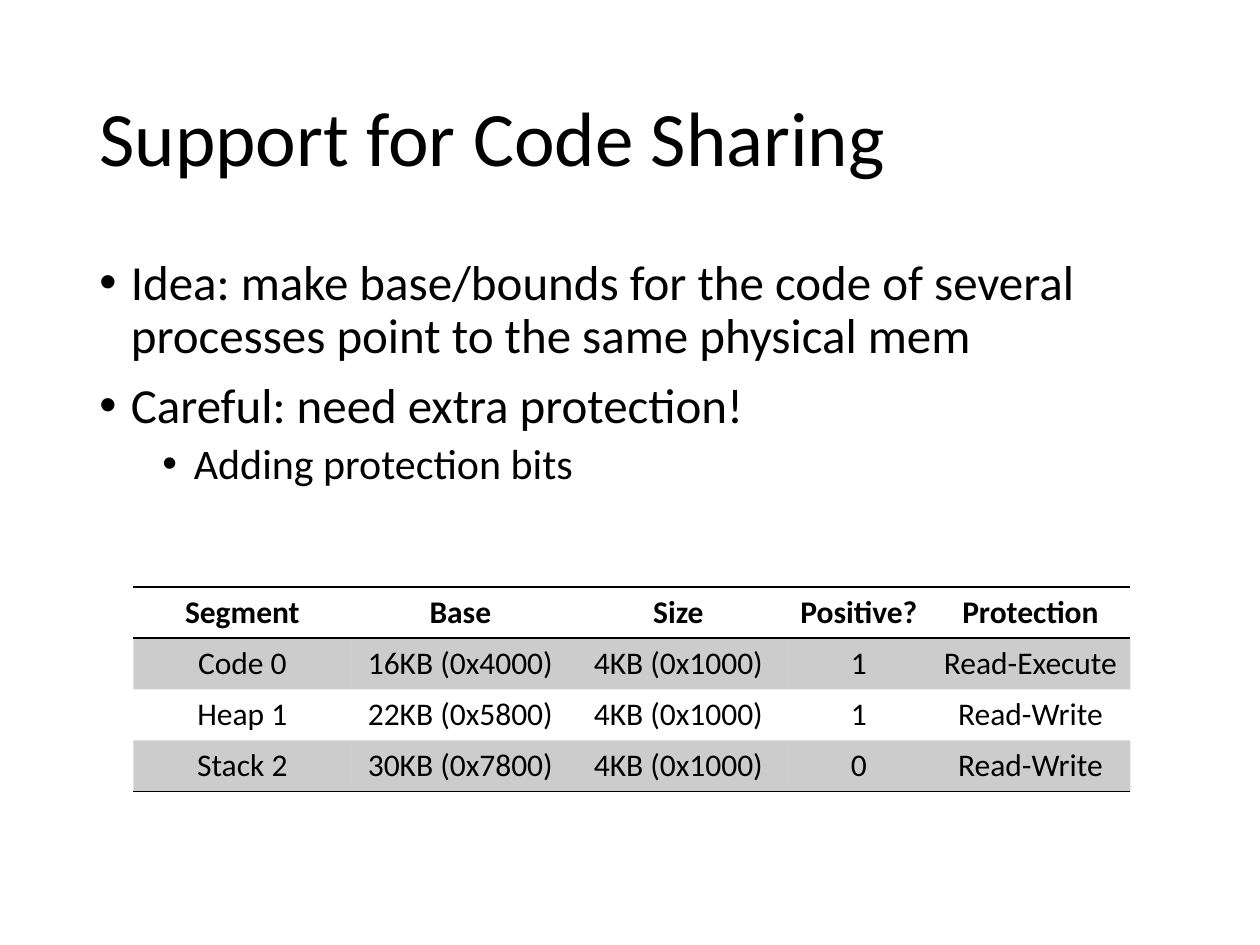
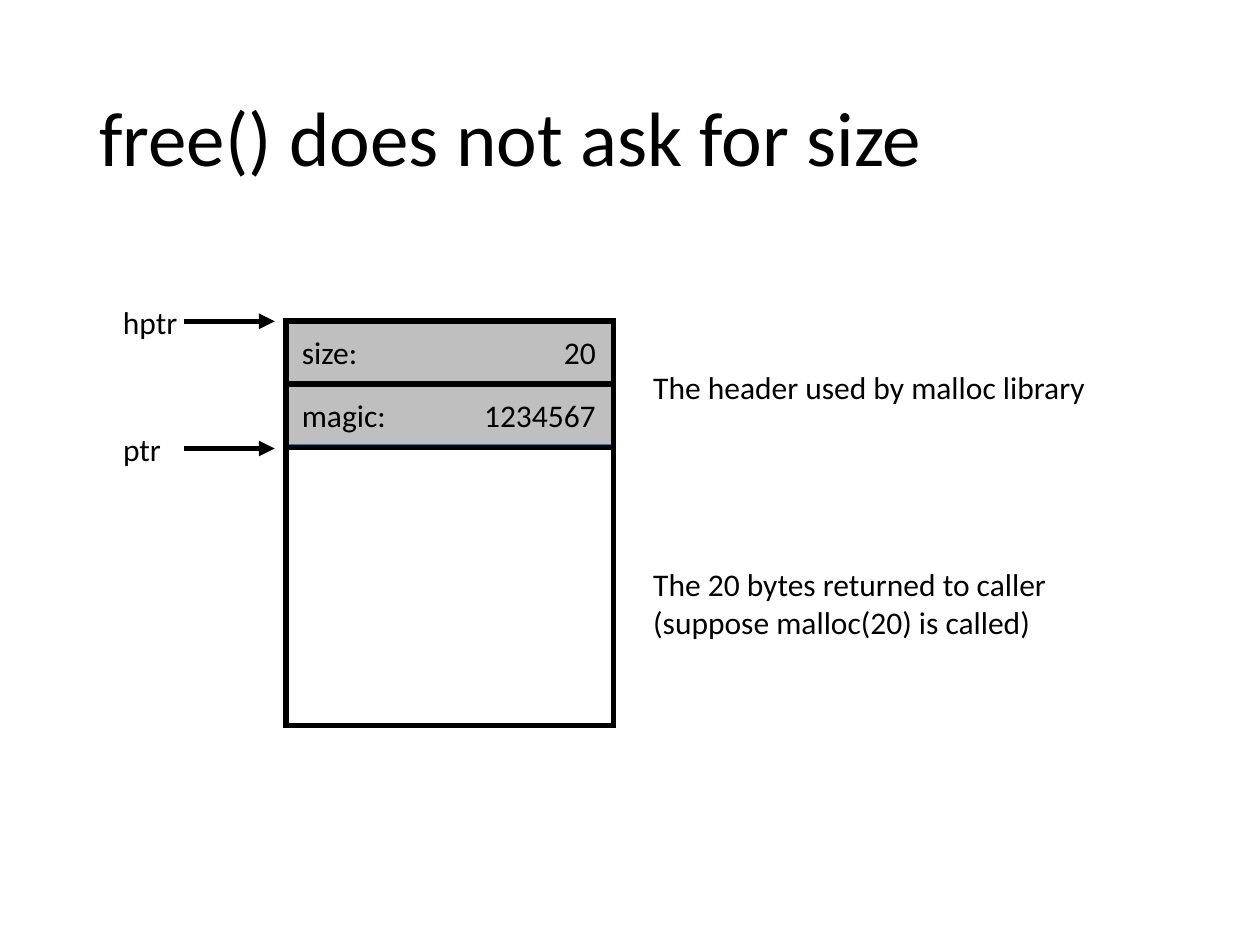
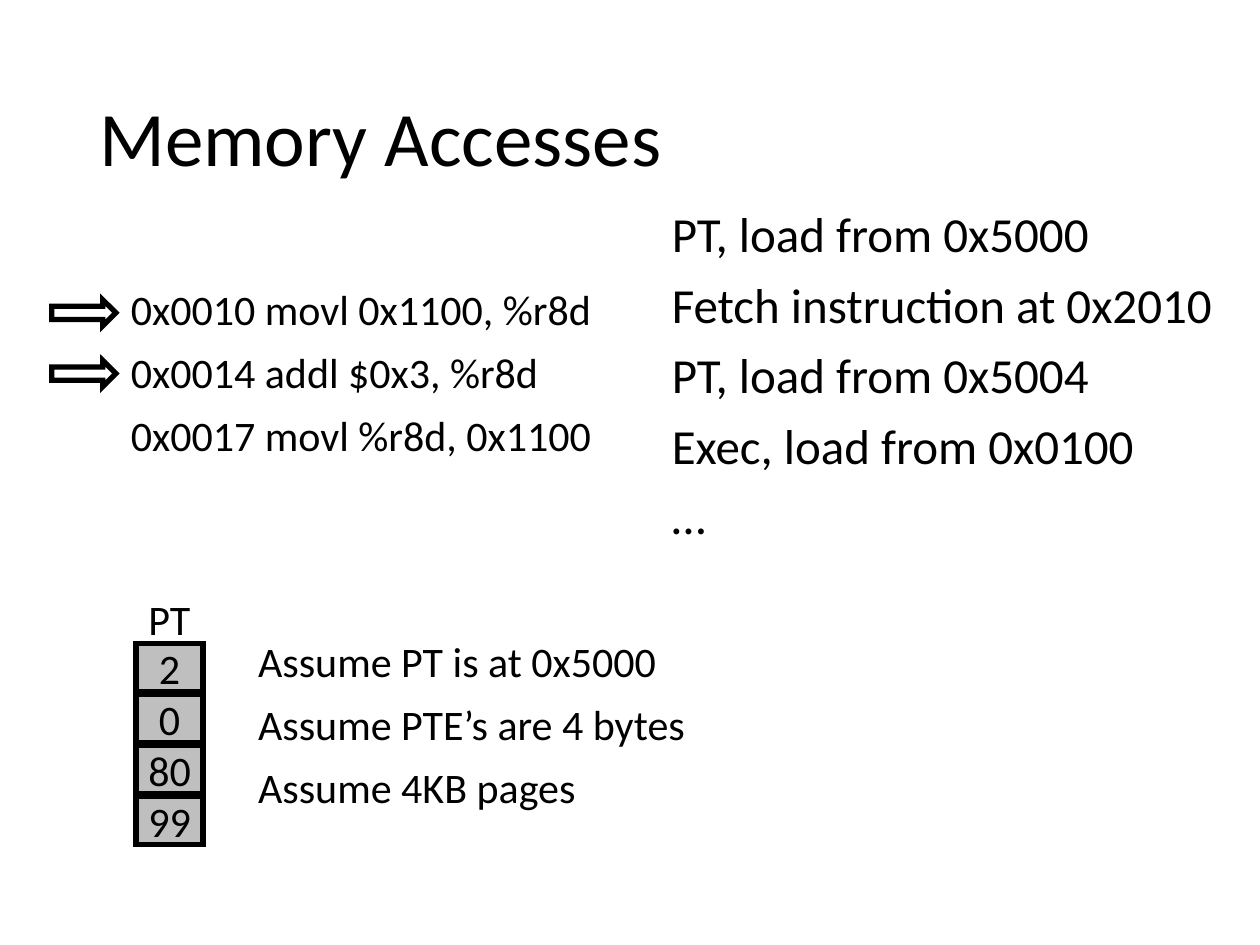
from dataclasses import dataclass
from typing import Any, NamedTuple

from pptx import Presentation
from pptx.dml.color import RGBColor
from pptx.enum.shapes import MSO_CONNECTOR, MSO_SHAPE
from pptx.enum.text import MSO_ANCHOR, MSO_AUTO_SIZE, PP_ALIGN
from pptx.oxml import parse_xml
from pptx.oxml.ns import nsdecls, qn
from pptx.util import Pt


# Theme
@dataclass(frozen=True)
class Theme:
    font: str = "Calibri"
    ink: RGBColor = RGBColor(0, 0, 0)
    grey: RGBColor = RGBColor(0xBF, 0xBF, 0xBF)
    blue: RGBColor = RGBColor(0x43, 0x73, 0x9E)
    title: int = 44
    body: int = 28
    code: int = 24
    note: int = 18
    thick: int = 3
    thin: int = 1


THEME = Theme()
CLEAR_STYLE = "{2D5ABB26-0587-4C30-8999-92F81FD0307C}"


class Area(NamedTuple):
    left: float
    top: float
    width: float
    height: float


class Line(NamedTuple):
    text: str
    size: int
    para: dict[str, Any] = {}
    bullet: float | None = None
    tab: float | None = None
    bold: bool = False


class Label(NamedTuple):
    area: Area
    lines: list[str]


class Stroke(NamedTuple):
    left: float
    right: float
    y: float
    arrow: bool = False


TITLE = Area(49.7, 28.8, 620.6, 104.4)
FLOW = {"line_spacing": 0.9, "space_before": Pt(10)}
TIGHT = {"line_spacing": 0.9, "space_before": Pt(5), "level": 1}
MID = {"alignment": PP_ALIGN.CENTER}
LOOSE = {"word_wrap": False, "auto_size": MSO_AUTO_SIZE.SHAPE_TO_FIT_TEXT}
FLUSH = {"margin_left": 0, "margin_right": 0, "margin_top": 0, "margin_bottom": 0}


# Shared helpers
def apply(target: Any, values: dict[str, Any]) -> None:
    for name, value in values.items():
        setattr(target, name, value)


def node(tag: str, attrs: str = "", inner: str = "") -> Any:
    return parse_xml(f"<a:{tag} {nsdecls('a')} {attrs}>{inner}</a:{tag}>")


def points(area: Area) -> list[Pt]:
    return [Pt(value) for value in area]


def write(frame: Any, lines: list[Line]) -> None:
    for rank, line in enumerate(lines):
        para = frame.add_paragraph() if rank else frame.paragraphs[0]
        props = para._p.get_or_add_pPr()
        if line.bullet is not None:
            props.set("marL", str(Pt(line.bullet)))
            props.set("indent", str(-Pt(18)))
            props.append(node("buFont", 'typeface="Arial"'))
            props.append(node("buChar", 'char="•"'))
        if line.tab is not None:
            stop = f'<a:tab pos="{Pt(line.tab)}" algn="r"/>'
            props.append(node("tabLst", inner=stop))
        apply(para, line.para)
        if not rank:
            para.space_before = Pt(0)
        run = para.add_run()
        run.text = line.text
        apply(run.font, {"name": THEME.font, "size": Pt(line.size), "bold": line.bold})
        run.font.color.rgb = THEME.ink


def add_text(shapes: Any, area: Area, lines: list[Line], **form: Any) -> None:
    frame = shapes.add_textbox(*points(area)).text_frame
    apply(frame, {"word_wrap": True} | form)
    write(frame, lines)


def outline(line: Any, color: RGBColor, width: int) -> None:
    line.color.rgb = color
    line.width = Pt(width)
    line._get_or_add_ln().append(node("miter", 'lim="800000"'))


def add_box(shapes: Any, area: Area, fill: RGBColor | None = None,
            edge: RGBColor = THEME.ink, width: int = THEME.thick,
            kind: MSO_SHAPE = MSO_SHAPE.RECTANGLE) -> Any:
    box = shapes.add_shape(kind, *points(area))
    box.shadow.inherit = False
    if fill is None:
        box.fill.background()
    else:
        box.fill.solid()
        box.fill.fore_color.rgb = fill
    outline(box.line, edge, width)
    box.text_frame.vertical_anchor = MSO_ANCHOR.MIDDLE
    return box


def add_stroke(shapes: Any, stroke: Stroke) -> None:
    link = shapes.add_connector(MSO_CONNECTOR.STRAIGHT, Pt(stroke.left), Pt(stroke.y),
                                Pt(stroke.right), Pt(stroke.y))
    outline(link.line, THEME.ink, THEME.thick)
    if stroke.arrow:
        link.line._get_or_add_ln().append(node("tailEnd", 'type="triangle"'))
    link._element.spPr.append(node("effectLst"))


def new_slide(deck: Any, title: str) -> Any:
    shapes = deck.slides.add_slide(deck.slide_layouts[6]).shapes
    add_text(shapes, TITLE, [Line(title, THEME.title, {"line_spacing": 0.9})],
             vertical_anchor=MSO_ANCHOR.MIDDLE)
    return shapes


# Segment table
def add_rule(cell: Any, side: str) -> None:
    inner = f'<a:solidFill><a:srgbClr val="{THEME.ink}"/></a:solidFill>'
    cell._tc.get_or_add_tcPr().append(node(side, f'w="{Pt(THEME.thin)}"', inner))


def add_grid(shapes: Any, area: Area, widths: list[float], rows: list[list[str]]) -> None:
    grid = shapes.add_table(len(rows), len(widths), *points(area)).table
    grid._tbl.tblPr.find(qn("a:tableStyleId")).text = CLEAR_STYLE
    grid.horz_banding = False
    for column, width in zip(grid.columns, widths):
        column.width = Pt(width)
    for r, row in enumerate(rows):
        grid.rows[r].height = Pt(area.height / len(rows))
        for c, text in enumerate(row):
            cell = grid.cell(r, c)
            write(cell.text_frame, [Line(text, THEME.note, MID, bold=r == 0)])
            if r == 0:
                add_rule(cell, "lnT")
            if r in (0, len(rows) - 1):
                add_rule(cell, "lnB")
            if r % 2:
                cell.fill.solid()
                cell.fill.fore_color.rgb = THEME.ink
                tint = cell._tc.tcPr.find(qn("a:solidFill"))[0]
                tint.append(node("alpha", 'val="20000"'))
            else:
                cell.fill.background()


def sharing(deck: Any) -> None:
    shapes = new_slide(deck, "Support for Code Sharing")
    add_text(shapes, Area(49.7, 144, 620.6, 342.7), [
        Line("Idea: make base/bounds for the code of several processes point "
             "to the same physical mem", THEME.body, FLOW, 18),
        Line("Careful: need extra protection!", THEME.body, FLOW, 18),
        Line("Adding protection bits", THEME.code, TIGHT, 54),
    ])
    add_grid(shapes, Area(76.2, 335.5, 569.8, 116.8), [124.6] * 3 + [81.8, 114.2], [
        ["Segment", "Base", "Size", "Positive?", "Protection"],
        ["Code 0", "16KB (0x4000)", "4KB (0x1000)", "1", "Read-Execute"],
        ["Heap 1", "22KB (0x5800)", "4KB (0x1000)", "1", "Read-Write"],
        ["Stack 2", "30KB (0x7800)", "4KB (0x1000)", "0", "Read-Write"],
    ])


# Block layout
def freeing(deck: Any) -> None:
    shapes = new_slide(deck, "free() does not ask for size")
    left, top, width = 163.5, 183.5, 187.2
    for rank, text in enumerate(["size:\t20", "magic:\t1234567"]):
        field = add_box(shapes, Area(left, top + 36 * rank, width, 34.6),
                        THEME.grey, THEME.blue, THEME.thin)
        field.text_frame.margin_left = Pt(9)
        write(field.text_frame,
              [Line(text, THEME.note, {"alignment": PP_ALIGN.LEFT}, tab=168)])
    add_box(shapes, Area(left, top, width, 231.1))
    for stroke in [
        Stroke(162, 352, 219.4),
        Stroke(162, 352, 255.6),
        Stroke(105.1, 157, 183.6, True),
        Stroke(105.1, 157, 256.3, True),
    ]:
        add_stroke(shapes, stroke)
    for label in [
        Label(Area(366.2, 206.9, 264.2, 29.1), ["The header used by malloc library"]),
        Label(Area(366.2, 319.2, 241.9, 50.9),
              ["The 20 bytes returned to caller", "(suppose malloc(20) is called)"]),
        Label(Area(63.2, 169.5, 46.1, 29.1), ["hptr"]),
        Label(Area(63.2, 242.2, 36.7, 29.1), ["ptr"]),
    ]:
        add_text(shapes, label.area, [Line(text, THEME.note) for text in label.lines], **LOOSE)


# Page table trace
def access(deck: Any) -> None:
    shapes = new_slide(deck, "Memory Accesses")
    for area, size, texts in [
        (Area(376.8, 116.8, 324.7, 342.7), THEME.body,
         ["PT, load from 0x5000", "Fetch instruction at 0x2010",
          "PT, load from 0x5004", "Exec, load from 0x0100", "…"]),
        (Area(67.7, 162, 303.1, 119.5), THEME.code,
         ["0x0010 movl 0x1100, %r8d", "0x0014 addl $0x3, %r8d",
          "0x0017 movl %r8d, 0x1100"]),
        (Area(140.4, 362.9, 303.1, 119.5), THEME.code,
         ["Assume PT is at 0x5000", "Assume PTE’s are 4 bytes", "Assume 4KB pages"]),
    ]:
        add_text(shapes, area, [Line(text, size, FLOW) for text in texts])
    for rank in range(2):
        add_box(shapes, Area(29.5, 171.2 + 34.7 * rank, 36.7, 15.1),
                kind=MSO_SHAPE.RIGHT_ARROW)
    group = shapes.add_group_shape().shapes
    add_text(group, Area(72.7, 335.5, 48.2, 36.3), [Line("PT", THEME.code, MID)])
    for rank, frame in enumerate(["2", "0", "80", "99"]):
        entry = add_box(group, Area(77.8, 367.9 + 29.1 * rank, 38.2, 27.4), THEME.grey)
        apply(entry.text_frame, FLUSH)
        write(entry.text_frame, [Line(frame, THEME.code, MID)])


def main() -> None:
    deck = Presentation()
    apply(deck, {"slide_width": Pt(720), "slide_height": Pt(540)})
    for build in (sharing, freeing, access):
        build(deck)
    deck.save("out.pptx")


if __name__ == "__main__":
    main()
